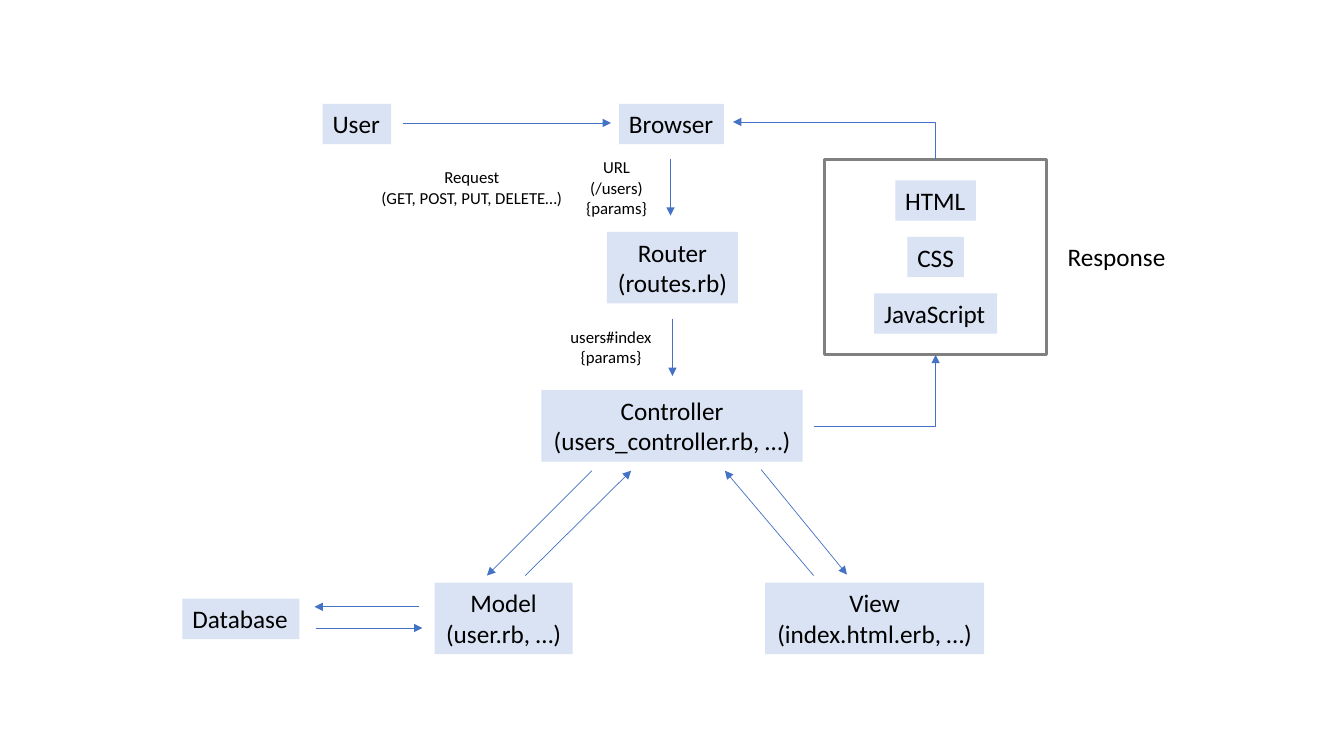
from dataclasses import dataclass

import pptx
import pptx.dml.color
import pptx.enum.shapes
import pptx.enum.text
import pptx.oxml
import pptx.util

PX = 9144  # EMU per px, 100 px to the inch


@dataclass(frozen=True)
class Theme:
    font: str = "Calibri"
    text: str = "000000"
    node: str = "DAE3F3"
    arrow: str = "4472C4"
    frame: str = "808080"
    node_size: int = 18
    label_size: int = 12
    arrow_width: float = 0.5
    frame_width: float = 2.25


THEME = Theme()
CENTER = pptx.enum.text.PP_ALIGN.CENTER
LEFT = pptx.enum.text.PP_ALIGN.LEFT


def rgb(code):
    return pptx.dml.color.RGBColor.from_string(code)


def px(*lengths):
    return [pptx.util.Emu(length * PX) for length in lengths]


def add_label(slide, box, lines, size=THEME.label_size, align=CENTER):
    label = slide.shapes.add_textbox(*px(*box))
    frame = label.text_frame
    frame.word_wrap = False
    frame.auto_size = pptx.enum.text.MSO_AUTO_SIZE.SHAPE_TO_FIT_TEXT
    for index, line in enumerate(lines):
        paragraph = frame.add_paragraph() if index else frame.paragraphs[0]
        paragraph.alignment = align
        run = paragraph.add_run()
        run.text = line
        run.font.name = THEME.font
        run.font.size = pptx.util.Pt(size)
        run.font.color.rgb = rgb(THEME.text)
    return label


def add_node(slide, box, *lines):
    align = CENTER if len(lines) > 1 else LEFT
    node = add_label(slide, box, lines, THEME.node_size, align)
    node.fill.solid()
    node.fill.fore_color.rgb = rgb(THEME.node)


def add_arrow(slide, start, end, bent=False, tip="tailEnd"):
    kinds = pptx.enum.shapes.MSO_CONNECTOR
    kind = kinds.ELBOW if bent else kinds.STRAIGHT
    arrow = slide.shapes.add_connector(kind, *px(*start, *end))
    arrow.line.color.rgb = rgb(THEME.arrow)
    arrow.line.width = pptx.util.Pt(THEME.arrow_width)
    properties = arrow._element.spPr
    if bent:  # a single corner: across first, then up or down
        properties.prstGeom.set("prst", "bentConnector2")
    namespace = pptx.oxml.ns.nsdecls("a")
    properties.ln.append(pptx.oxml.parse_xml(f'<a:{tip} {namespace} type="triangle"/>'))
    properties.append(pptx.oxml.parse_xml(f"<a:effectLst {namespace}/>"))


def add_request(slide, x, y):
    """User, browser and router, with the request passed down to the controller."""
    add_node(slide, (x, y, 68, 40), "User")
    add_node(slide, (x + 294, y, 104, 40), "Browser")
    add_node(slide, (x + 282, y + 127, 130, 71), "Router", "(routes.rb)")

    add_label(slide, (x + 47, y + 58, 202, 50), ["Request", "(GET, POST, PUT, DELETE…)"])
    add_label(slide, (x + 251, y + 48, 81, 71), ["URL", "(/users)", "{params}"])
    add_label(slide, (x + 235, y + 216, 102, 50), ["users#index", "{params}"])

    add_arrow(slide, (x + 80, y + 19), (x + 286, y + 19))
    add_arrow(slide, (x + 345, y + 55), (x + 345, y + 111))
    add_arrow(slide, (x + 347, y + 213), (x + 347, y + 270))


def add_mvc(slide, x, y):
    """Controller above the model and view, with the database at the far left."""
    add_node(slide, (x + 356, y, 259, 71), "Controller", "(users_controller.rb, …)")
    add_node(slide, (x, y + 207, 116, 40), "Database")
    add_node(slide, (x + 250, y + 191, 137, 71), "Model", "(user.rb, …)")
    add_node(slide, (x + 578, y + 191, 217, 71), "View", "(index.html.erb, …)")

    # Controller and model
    add_arrow(slide, (x + 406, y + 80), (x + 302, y + 184))
    add_arrow(slide, (x + 340, y + 184), (x + 445, y + 80))
    # Controller and view
    add_arrow(slide, (x + 574, y + 79), (x + 659, y + 183))
    add_arrow(slide, (x + 626, y + 184), (x + 538, y + 80))
    # Model and database
    add_arrow(slide, (x + 235, y + 215), (x + 131, y + 215))
    add_arrow(slide, (x + 132, y + 236), (x + 238, y + 236))


def add_response(slide, x, y, width, height):
    """Framed response formats, fed by the controller and sent to the browser."""
    frame = slide.shapes.add_shape(
        pptx.enum.shapes.MSO_SHAPE.RECTANGLE, *px(x, y, width, height))
    frame.shadow.inherit = False
    frame.fill.background()
    frame.line.color.rgb = rgb(THEME.frame)
    frame.line.width = pptx.util.Pt(THEME.frame_width)

    middle = x + width // 2
    for row, (name, node_width) in enumerate(
            [("HTML", 80), ("CSS", 56), ("JavaScript", 122)]):
        add_node(slide, (middle - node_width // 2, y + 21 + row * 56, node_width, 40), name)
    add_label(slide, (x + width + 11, y + 76, 118, 40), ["Response"],
              THEME.node_size, LEFT)

    add_arrow(slide, (x - 11, y + 265), (middle, y + height), bent=True)
    add_arrow(slide, (x - 91, y - 37), (middle, y), bent=True, tip="headEnd")


def main():
    presentation = pptx.Presentation()
    presentation.slide_width, presentation.slide_height = px(1333, 750)
    slide = presentation.slides.add_slide(presentation.slide_layouts[6])
    add_request(slide, 320, 103)
    add_mvc(slide, 181, 387)
    add_response(slide, 818, 158, 220, 194)
    presentation.save("out.pptx")


if __name__ == "__main__":
    main()
